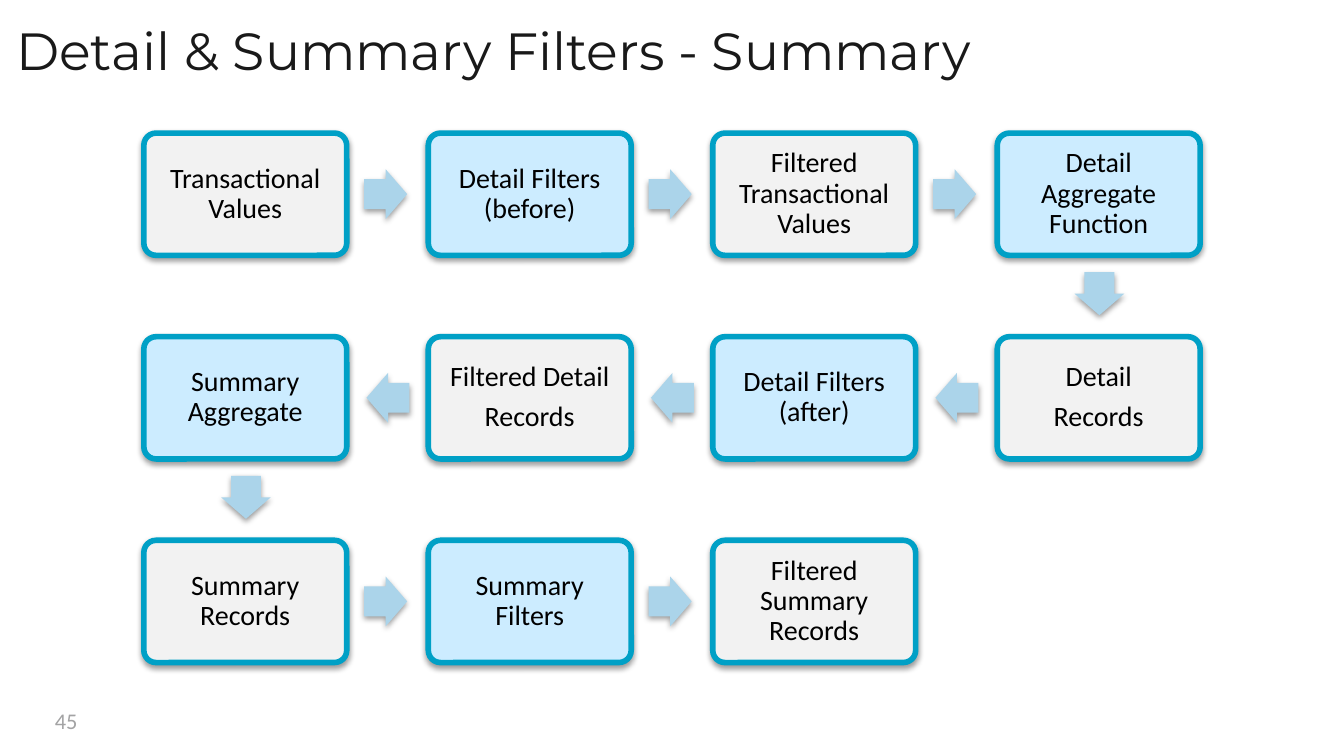
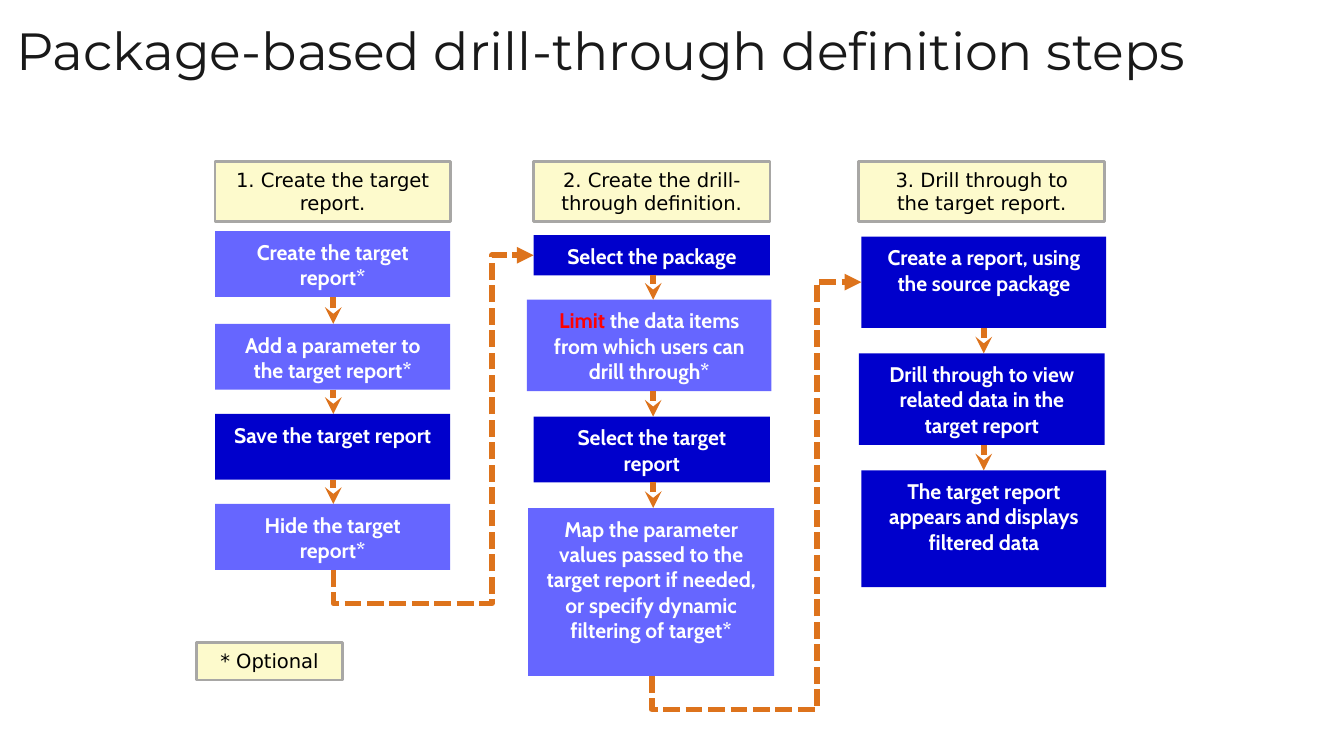
"""Build two slides: a filter flow and the steps of a drill-through definition."""
from lxml import etree
from pptx import Presentation
from pptx.dml.color import RGBColor
from pptx.enum.dml import MSO_LINE
from pptx.enum.shapes import MSO_CONNECTOR, MSO_SHAPE
from pptx.enum.text import MSO_ANCHOR, PP_ALIGN
from pptx.oxml.ns import qn
from pptx.util import Inches, Pt

ROUNDED = MSO_SHAPE.ROUNDED_RECTANGLE
RECTANGLE = MSO_SHAPE.RECTANGLE
ARROW = MSO_SHAPE.RIGHT_ARROW
STRAIGHT, ELBOW = MSO_CONNECTOR.STRAIGHT, MSO_CONNECTOR.ELBOW
DASHED = MSO_LINE.SQUARE_DOT
TOP, MIDDLE = MSO_ANCHOR.TOP, MSO_ANCHOR.MIDDLE
LEFT, CENTER = PP_ALIGN.LEFT, PP_ALIGN.CENTER

COLORS = {
    "title": "191919", "number": "A3A3A4", "black": "000000", "white": "FFFFFF",
    "records": "F2F2F2", "operation": "CCECFF", "border": "00A0C6", "arrow": "ABD4EA",
    "required": "0000CC", "optional": "6666FF", "alert": "FF0000",
    "heading": "FDFACC", "heading_line": "A8A7A5", "connector": "DD731C",
}


def add_box(page, kind, place, fill, line=None, line_width=0, shadow=False):
    """Add a filled preset shape, with an optional outline and soft shadow."""
    box = page.shapes.add_shape(kind, *[Inches(length) for length in place])
    box.fill.solid()
    box.fill.fore_color.rgb = RGBColor.from_string(COLORS[fill])
    if line:
        box.line.color.rgb = RGBColor.from_string(COLORS[line])
        box.line.width = Pt(line_width)
    else:
        box.line.fill.background()
    box.shadow.inherit = False
    if shadow:
        effects = box._element.spPr.find(qn("a:effectLst"))
        outer = etree.SubElement(effects, qn("a:outerShdw"), blurRad=str(Pt(3.1)),
                                 dist=str(Pt(1.6)), dir="5400000", rotWithShape="0")
        tint = etree.SubElement(outer, qn("a:srgbClr"), val=COLORS["black"])
        etree.SubElement(tint, qn("a:alpha"), val="38000")
    return box


def write_text(box, text, font, size, color, align=CENTER, anchor=TOP, inset=(0.1, 0.05),
               bold=False, spacing=None, after=None, lead=""):
    """Write formatted paragraphs; a lead is set apart in the alert colour."""
    frame = box.text_frame
    frame.word_wrap = True
    frame.vertical_anchor = anchor
    frame.margin_left = frame.margin_right = Inches(inset[0])
    frame.margin_top = frame.margin_bottom = Inches(inset[1])
    frame.text = text
    for para in frame.paragraphs:
        para.alignment = align
        para.line_spacing = spacing
        para.space_after = after
        if lead:
            para.runs[0].text = lead
            para.add_run().text = text[len(lead):]
        for span in para.runs:
            span.font.name = font
            span.font.size = Pt(size)
            span.font.bold = bold
            span.font.color.rgb = RGBColor.from_string(COLORS[color])
        if lead:
            para.runs[0].font.color.rgb = RGBColor.from_string(COLORS["alert"])
        for line_break in para._p.findall(qn("a:br")):
            etree.SubElement(line_break, qn("a:rPr"), sz=str(int(size * 100)))


deck = Presentation()
deck.slide_width = Inches(10)
deck.slide_height = deck.slide_width * 9 // 16
pages = []
for title in ["Detail & Summary Filters - Summary",
              "Package-based drill-through definition steps"]:
    page = deck.slides.add_slide(deck.slide_layouts[6])
    box = page.shapes.add_textbox(0, 0, Inches(10), Inches(0.79))
    write_text(box, title, "Montserrat", 28, "title", LEFT, MIDDLE, (0.12, 0.05), spacing=0.9)
    pages.append(page)
flow_page, steps_page = pages

number = flow_page.shapes.add_textbox(Inches(0.31), Inches(5.21), Inches(2.33), Inches(0.3))
write_text(number, "45", "Calibri", 12, "number", LEFT, MIDDLE)

stages = [
    "Transactional Values", "Detail Filters (before)", "Filtered Transactional Values",
    "Detail Aggregate Function", "Detail\nRecords", "Detail Filters (after)",
    "Filtered Detail\nRecords", "Summary Aggregate", "Summary Records", "Summary Filters",
    "Filtered Summary Records",
]
for index, stage in enumerate(stages):
    row, position = divmod(index, 4)
    backward = row % 2 == 1
    column = 3 - position if backward else position
    left, top = 1.07 + 6.35 * column / 3, 0.99 + 3.03 * row / 2
    fill = "operation" if index % 2 else "records"
    box = add_box(flow_page, ROUNDED, (left, top, 1.51, 0.91), fill, "border", 3, True)
    box.adjustments[0] = 0.1
    write_text(box, stage, "Calibri", 15, "black", CENTER, MIDDLE, (0.09, 0.09),
               spacing=0.9, after=Pt(5.25))
    if index == len(stages) - 1:
        break
    if position == 3:
        shift, drop, turn = 0.6, 1.01, 90
    elif backward:
        shift, drop, turn = -0.46, 0.27, 180
    else:
        shift, drop, turn = 1.64, 0.27, 0
    arrow = add_box(flow_page, ARROW, (left + shift, top + drop, 0.32, 0.37), "arrow",
                    shadow=True)
    arrow.adjustments[0], arrow.adjustments[1] = 0.6, 0.5
    arrow.rotation = turn

columns = [
    (2.48, [
        (1.6, 1.72, 1.75, 0.49, "optional", "Create the target report*"),
        (1.6, 2.41, 1.75, 0.49, "optional", "Add a parameter to the target report*"),
        (1.6, 3.08, 1.75, 0.49, "required", "Save the target report"),
        (1.6, 3.75, 1.75, 0.49, "optional", "Hide the target report*"),
    ]),
    (4.86, [
        (3.97, 1.75, 1.76, 0.3, "required", "Select the package"),
        (3.92, 2.23, 1.82, 0.68, "optional",
         "Limit the data items from which users can drill through*"),
        (3.97, 3.1, 1.76, 0.49, "required", "Select the target report"),
        (3.93, 3.78, 1.83, 1.25, "optional",
         "Map the parameter values passed to the target report if needed, "
         "or specify dynamic filtering of target*"),
    ]),
    (7.32, [
        (6.41, 1.76, 1.82, 0.68, "required", "Create a report, using the source package"),
        (6.39, 2.63, 1.83, 0.68, "required",
         "Drill through to view related data in the target report"),
        (6.41, 3.5, 1.82, 0.87, "required",
         "The target report appears and displays filtered data"),
    ]),
]
connectors = []
for center, steps in columns:
    bottom = None
    for left, top, width, height, fill, text in steps:
        if bottom:
            link = steps_page.shapes.add_connector(
                STRAIGHT, Inches(center), Inches(bottom), Inches(center), Inches(top))
            connectors.append((link, "stealth"))
        box = add_box(steps_page, RECTANGLE, (left, top, width, height), fill)
        lead = "Limit" if text.startswith("Limit") else ""
        write_text(box, text, "Cabin", 11.3, "white", inset=(0.12, 0.06), bold=True, lead=lead)
        bottom = top + height

headings = [
    (1.6, 1.2, 1.75, 0.45, "1. Create the target report."),
    (3.97, 1.2, 1.76, 0.45, "2. Create the drill-through definition."),
    (6.39, 1.2, 1.83, 0.45, "3. Drill through to\vthe target report."),
    (1.46, 4.78, 1.09, 0.28, "* Optional"),
]
for *place, text in headings:
    box = add_box(steps_page, RECTANGLE, place, "heading", "heading_line", 1.5)
    write_text(box, text, "DejaVu Sans", 10.5, "black")

bends = [
    (2.48, 4.24, 3.97, 1.9, 3.66),
    (4.85, 5.03, 6.41, 2.1, 6.08),
]
for start_x, start_y, end_x, end_y, turn_x in bends:
    rise, run = start_y - end_y, end_x - start_x
    middle_x, middle_y = (start_x + end_x) / 2, (start_y + end_y) / 2
    link = steps_page.shapes.add_connector(
        ELBOW, Inches(middle_x - rise / 2), Inches(middle_y - run / 2),
        Inches(middle_x + rise / 2), Inches(middle_y + run / 2))
    properties = link._element.spPr
    transform = properties.find(qn("a:xfrm"))
    for name, value in [("rot", "5400000"), ("flipH", "1"), ("flipV", "1")]:
        transform.set(name, value)
    geometry = properties.find(qn("a:prstGeom"))
    geometry.set("prst", "bentConnector4")
    guides = geometry.find(qn("a:avLst"))
    for name, share in [("adj1", -0.25 / rise), ("adj2", (turn_x - start_x) / run)]:
        etree.SubElement(guides, qn("a:gd"), name=name, fmla=f"val {round(share * 100000)}")
    link.line.dash_style = DASHED
    connectors.append((link, "triangle"))

for link, head in connectors:
    link.line.color.rgb = RGBColor.from_string(COLORS["connector"])
    link.line.width = Pt(3)
    properties = link._element.spPr
    etree.SubElement(properties.find(qn("a:ln")), qn("a:tailEnd"), type=head)
    etree.SubElement(properties, qn("a:effectLst"))

deck.save("out.pptx")
